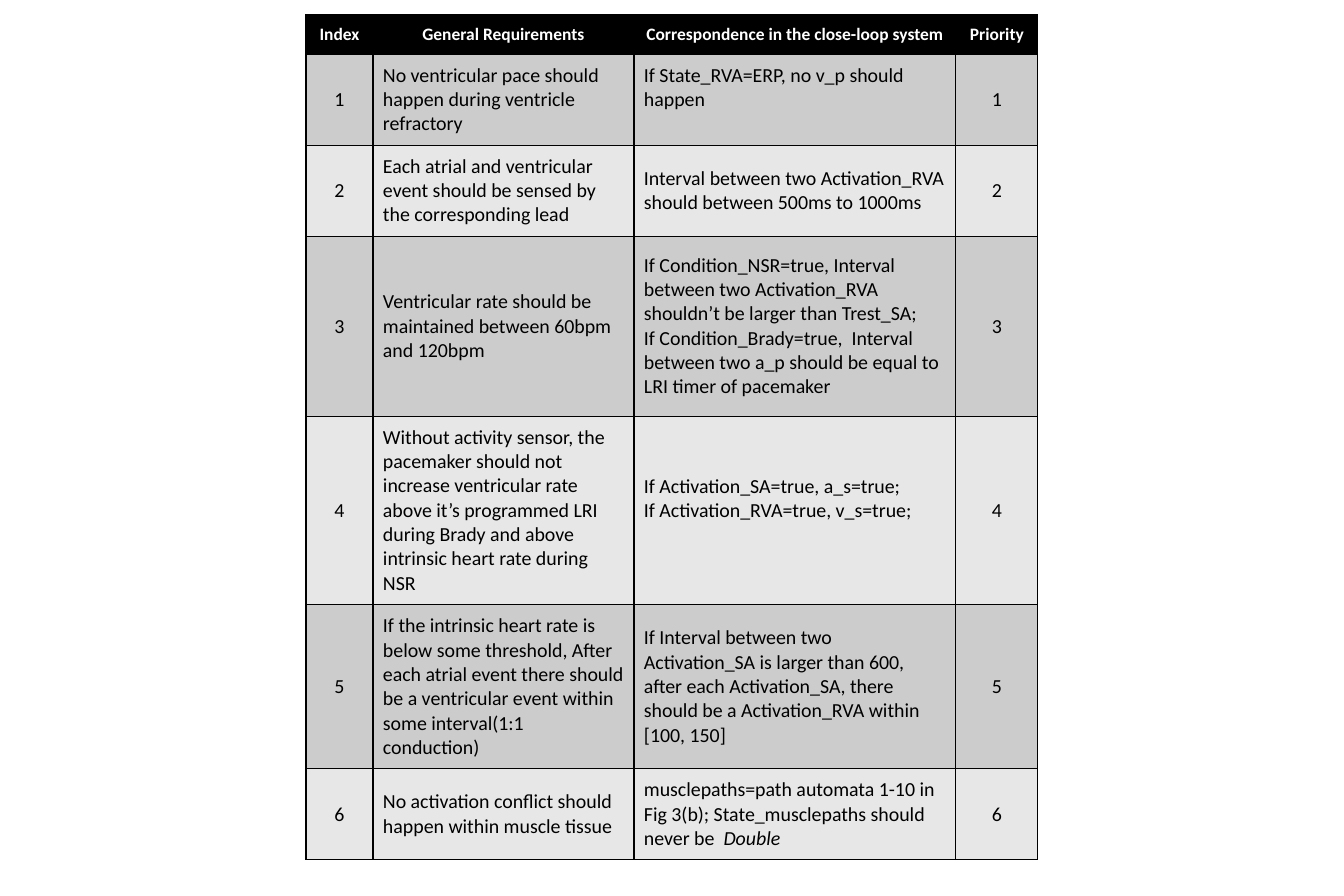
"""Build a slide with a table of pacemaker requirements and their priorities."""
from lxml import etree
from pptx import Presentation
from pptx import util as u
from pptx.dml.color import RGBColor
from pptx.enum import text
from pptx.oxml import ns

PX = 914400 / 89.6


def px(length):
    return u.Emu(round(length * PX))


def draw_borders(cell, color):
    for side in ("lnL", "lnR", "lnT", "lnB"):
        line = etree.SubElement(cell._tc.get_or_add_tcPr(), ns.qn(f"a:{side}"), w="12700")
        fill = etree.SubElement(line, ns.qn("a:solidFill"))
        etree.SubElement(fill, ns.qn("a:srgbClr"), val=color)


headings = ["Index", "General Requirements", "Correspondence in the close-loop system", "Priority"]
requirements = [
    ("No ventricular pace should happen during ventricle refractory",
     "If State_RVA=ERP, no v_p should happen"),
    ("Each atrial and ventricular event should be sensed by the corresponding lead",
     "Interval between two Activation_RVA should between 500ms to 1000ms"),
    ("Ventricular rate should be maintained between 60bpm and 120bpm",
     "If Condition_NSR=true, Interval between two Activation_RVA  shouldn’t be larger than Trest_SA; \v"
     "If Condition_Brady=true,  Interval between two a_p should be equal to LRI timer of pacemaker"),
    ("Without activity sensor, the pacemaker should not increase ventricular rate above it’s "
     "programmed LRI during Brady and above intrinsic heart rate during NSR",
     "If Activation_SA=true, a_s=true;\nIf Activation_RVA=true, v_s=true;"),
    ("If the intrinsic heart rate is below some threshold, After each atrial event there should "
     "be a ventricular event within some interval(1:1 conduction)",
     "If Interval between two Activation_SA is larger than 600, after each Activation_SA, "
     "there should be a Activation_RVA within [100, 150]"),
    ("No activation conflict should happen within muscle tissue",
     "musclepaths=path automata 1-10 in Fig 3(b); State_musclepaths should never be  "),
]
rows = [headings] + [
    [str(index), general, correspondence, str(index)]
    for index, (general, correspondence) in enumerate(requirements, 1)
]
column_widths = [67, 261, 322, 82]
row_heights = [38, 87, 87, 180, 180, 157, 64]
raised_cells = [(1, 2), (4, 2)]

deck = Presentation()
deck.slide_width, deck.slide_height = px(1344), px(896)
slide = deck.slides.add_slide(deck.slide_layouts[6])
table = slide.shapes.add_table(
    len(rows), len(headings), px(306), px(15), px(sum(column_widths)), px(sum(row_heights))
).table
table.first_row = table.horz_banding = False
for column, width in zip(table.columns, column_widths):
    column.width = px(width)
for row, height in zip(table.rows, row_heights):
    row.height = px(height)

for r, wordings in enumerate(rows):
    is_header = r == 0
    row_fill = "000000" if is_header else ("E7E7E7", "CCCCCC")[r % 2]
    for c, wording in enumerate(wordings):
        cell = table.cell(r, c)
        cell.text = wording
        draw_borders(cell, "000000")
        cell.fill.solid()
        cell.fill.fore_color.rgb = RGBColor.from_string(row_fill)
        cell.margin_left = cell.margin_right = px(10)
        cell.margin_top = px(9)
        cell.margin_bottom = px(33 if (r, c) in raised_cells else 9)
        cell.vertical_anchor = text.MSO_ANCHOR.TOP if is_header else text.MSO_ANCHOR.MIDDLE
        for paragraph in cell.text_frame.paragraphs:
            centred = is_header or c in (0, 3)
            paragraph.alignment = text.PP_ALIGN.CENTER if centred else text.PP_ALIGN.LEFT
            paragraph.font.name = "Calibri"
            paragraph.font.size = u.Pt(14 if is_header else 16)
            paragraph.font.bold = is_header
            paragraph.font.color.rgb = RGBColor.from_string("FFFFFF" if is_header else "000000")

state = table.cell(6, 2).text_frame.paragraphs[0].add_run()
state.text = "Double"
state.font.italic = True

deck.save("out.pptx")
